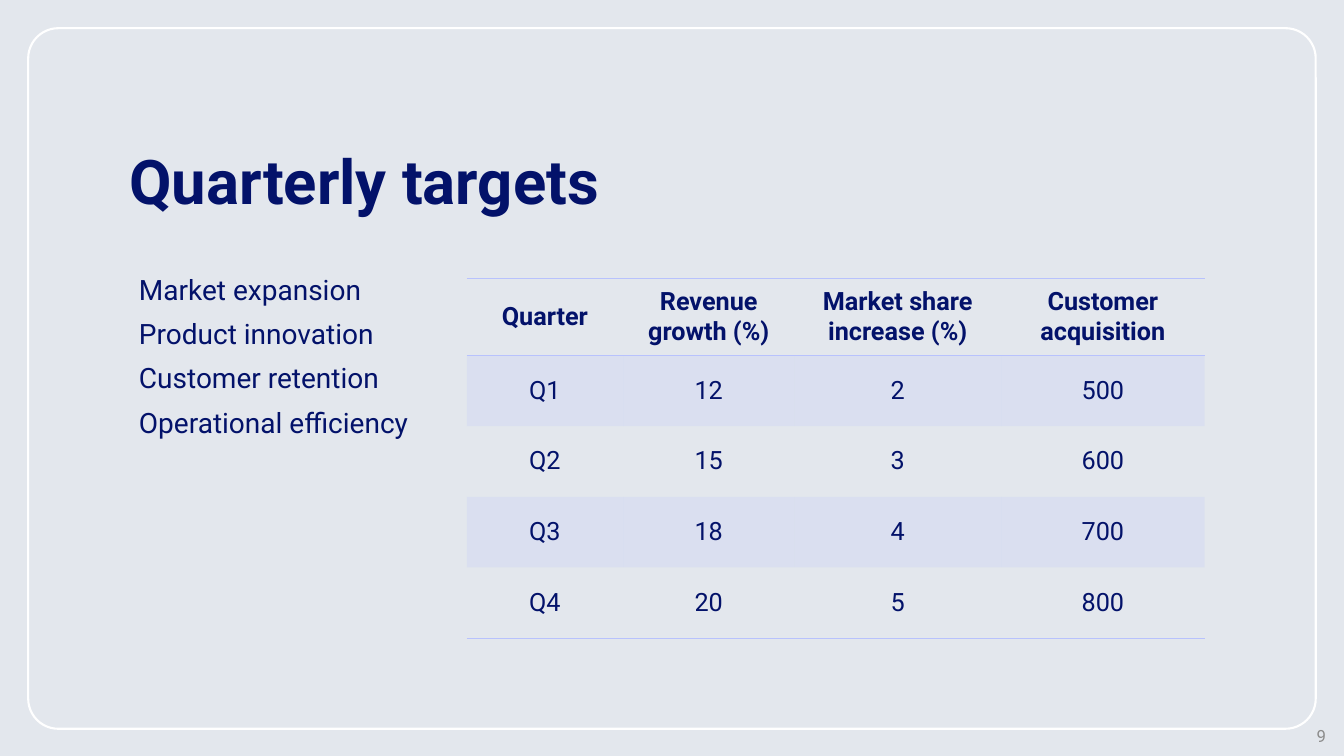
import dataclasses

import pptx
import pptx.dml.color
import pptx.enum.shapes
import pptx.enum.text
import pptx.oxml
import pptx.oxml.ns
import pptx.util

ALIGN = pptx.enum.text.PP_ALIGN
ANCHOR = pptx.enum.text.MSO_ANCHOR
NO_GRID_STYLE = "{2D5ABB26-0587-4C30-8999-92F81FD0307C}"


@dataclasses.dataclass(frozen=True)
class Theme:
    font: str = "Roboto"
    ground: str = "E3E7ED"
    frame: str = "FFFFFF"
    ink: str = "03126A"
    accent: str = "B8C2FD"
    muted: str = "8C8C8C"
    title_size: int = 44
    body_size: int = 20
    table_size: int = 18
    number_size: int = 12
    frame_width: float = 1.5
    rule_width: float = 1
    band_opacity: int = 20


def rgb(value):
    return pptx.dml.color.RGBColor.from_string(value)


def assign(target, formats):
    for name, value in formats.items():
        setattr(target, name, value)


class Deck:
    """Places elements on a grid of 100 columns by 100 rows."""

    def __init__(self, theme):
        self.theme = theme
        self.prs = pptx.Presentation()
        self.prs.slide_width = pptx.util.Inches(13.33)
        self.prs.slide_height = pptx.util.Inches(7.5)
        self.s = None

    def cols(self, n):
        return pptx.util.Emu(round(self.prs.slide_width * n / 100))

    def rows(self, n):
        return pptx.util.Emu(round(self.prs.slide_height * n / 100))

    def box(self, left, top, width, height):
        return self.cols(left), self.rows(top), self.cols(width), self.rows(height)

    def add_slide(self):
        self.s = self.prs.slides.add_slide(self.prs.slide_layouts[5])
        fill = self.s.background.fill
        fill.solid()
        fill.fore_color.rgb = rgb(self.theme.ground)

    def fill_text(self, tf, lines, size, color=None, bold=False, **paragraph):
        for i, line in enumerate(lines):
            p = tf.paragraphs[0] if i == 0 else tf.add_paragraph()
            assign(p, paragraph)
            r = p.add_run()
            r.text = line
            assign(r.font, {"name": self.theme.font, "size": pptx.util.Pt(size), "bold": bold})
            r.font.color.rgb = rgb(color or self.theme.ink)

    def frame(self, *place, corner):
        sp = self.s.shapes.add_shape(
            pptx.enum.shapes.MSO_SHAPE.ROUNDED_RECTANGLE, *self.box(*place))
        sp.adjustments[0] = corner
        sp.shadow.inherit = False
        sp.fill.background()
        sp.line.color.rgb = rgb(self.theme.frame)
        sp.line.width = pptx.util.Pt(self.theme.frame_width)

    def title(self, text, *place):
        sp = self.s.shapes.title
        assign(sp, dict(zip(("left", "top", "width", "height"), self.box(*place))))
        assign(sp.text_frame, {"word_wrap": True, "vertical_anchor": ANCHOR.BOTTOM,
                               "auto_size": pptx.enum.text.MSO_AUTO_SIZE.NONE})
        self.fill_text(sp.text_frame, [text], self.theme.title_size, bold=True,
                       alignment=ALIGN.LEFT, line_spacing=0.9)

    def text(self, lines, *place, size, color=None, anchor=ANCHOR.TOP, **paragraph):
        tf = self.s.shapes.add_textbox(*self.box(*place)).text_frame
        assign(tf, {"word_wrap": True, "vertical_anchor": anchor})
        self.fill_text(tf, lines, size, color, **paragraph)

    def table(self, data, left, top, widths, heights):
        place = self.box(left, top, sum(widths), sum(heights))
        table = self.s.shapes.add_table(len(heights), len(widths), *place).table
        assign(table, {"first_row": False, "horz_banding": False})
        style = next(table._tbl.iter(pptx.oxml.ns.qn("a:tableStyleId")))
        style.text = NO_GRID_STYLE
        for column, width in zip(table.columns, widths):
            column.width = self.cols(width)
        for i, (row, height) in enumerate(zip(table.rows, heights)):
            row.height = self.rows(height)
            sides = {0: ("lnT", "lnB"), len(data) - 1: ("lnB",)}.get(i, ())
            for cell, value in zip(row.cells, data[i]):
                cell.vertical_anchor = ANCHOR.MIDDLE
                self.fill_text(cell.text_frame, [value], self.theme.table_size,
                               bold=i == 0, alignment=ALIGN.CENTER)
                self.shade(cell, banded=i % 2 == 1)
                self.rule(cell, sides)

    def shade(self, cell, banded):
        if not banded:
            cell.fill.background()
            return
        cell.fill.solid()
        cell.fill.fore_color.rgb = rgb(self.theme.accent)
        color = next(cell._tc.tcPr.iter(pptx.oxml.ns.qn("a:srgbClr")))
        color.append(pptx.oxml.parse_xml(
            f'<a:alpha {pptx.oxml.ns.nsdecls("a")} val="{self.theme.band_opacity * 1000}"/>'))

    def rule(self, cell, sides):
        """Draw the named borders; they must come before the fill in the cell."""
        for i, side in enumerate(sides):
            cell._tc.tcPr.insert(i, pptx.oxml.parse_xml(
                f'<a:{side} {pptx.oxml.ns.nsdecls("a")} '
                f'w="{pptx.util.Pt(self.theme.rule_width)}"><a:solidFill>'
                f'<a:srgbClr val="{self.theme.accent}"/></a:solidFill></a:{side}>'))


TARGETS = [
    ("Quarter", "Revenue growth (%)", "Market share increase (%)", "Customer acquisition"),
    ("Q1", "12", "2", "500"),
    ("Q2", "15", "3", "600"),
    ("Q3", "18", "4", "700"),
    ("Q4", "20", "5", "800"),
]
GOALS = ["Market expansion", "Product innovation", "Customer retention",
         "Operational efficiency"]


def main():
    theme = Theme()
    deck = Deck(theme)
    deck.add_slide()
    deck.frame(2.1, 3.73, 95.8, 92.67, corner=0.043)
    deck.title("Quarterly targets", 8.85, 5.33, 84.32, 24.13)
    deck.text(GOALS, 9.6, 35.87, 23.33, 45.07, size=theme.body_size,
              line_spacing=0.9, space_before=pptx.util.Pt(10))
    deck.table(TARGETS, 34.73, 36.8, widths=[11.63, 12.75, 15.38, 15.15],
               heights=[10.22] + [9.35] * 4)
    deck.text(["9"], 76.89, 95.73, 22.51, 3.33, size=theme.number_size,
              color=theme.muted, anchor=ANCHOR.MIDDLE, alignment=ALIGN.RIGHT)
    deck.prs.save("out.pptx")


if __name__ == "__main__":
    main()
